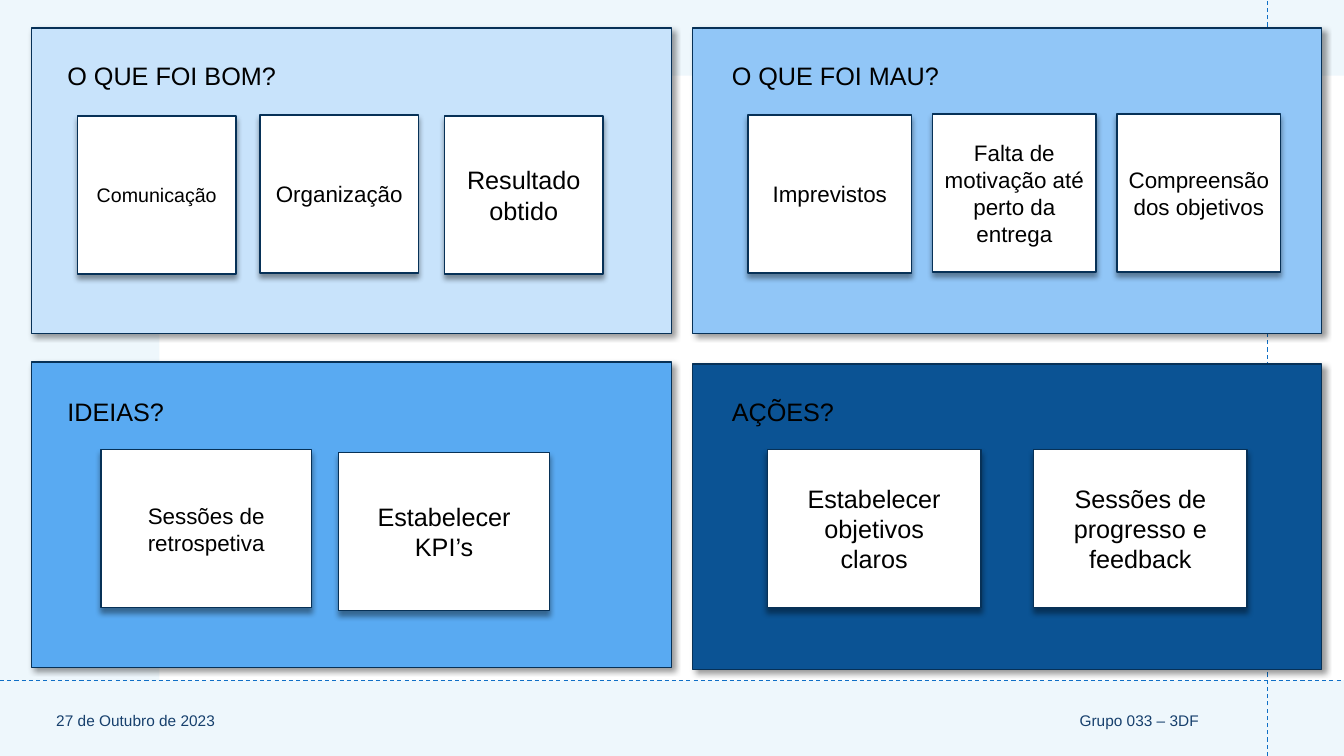
from lxml import etree
from pptx import Presentation
from pptx.dml.color import RGBColor
from pptx.enum.dml import MSO_LINE
from pptx.enum.shapes import MSO_CONNECTOR, MSO_SHAPE
from pptx.enum.text import MSO_ANCHOR, PP_ALIGN
from pptx.oxml.ns import qn
from pptx.util import Inches, Pt

RECT = MSO_SHAPE.RECTANGLE
STRAIGHT = MSO_CONNECTOR.STRAIGHT
DASH = MSO_LINE.DASH
TOP, MIDDLE = MSO_ANCHOR.TOP, MSO_ANCHOR.MIDDLE
LEFT, CENTER, RIGHT = PP_ALIGN.LEFT, PP_ALIGN.CENTER, PP_ALIGN.RIGHT

FONT = "Arial"
BLACK, WHITE, NAVY = "000000", "FFFFFF", "17406D"
OUTLINE, RULE, PALE = "073157", "0F6FC6", "DBEFF9"
CARD_HEIGHT = 1.57
PANEL_HEIGHT = 3.03

# Each panel: heading, heading position, (left, top, width), colour, card width,
# and its cards as (left, top, size, text).
PANELS = [
    ("O QUE FOI BOM?", (0.57, 0.55), (0.31, 0.28, 6.35), "C8E3FB", 1.57, [
        (0.77, 1.15, 14, "Comunicação"),
        (2.58, 1.14, 16, "Organização"),
        (4.41, 1.15, 18, "Resultado\nobtido"),
    ]),
    ("O QUE FOI MAU?", (7.16, 0.55), (6.87, 0.28, 6.24), "91C6F7", 1.62, [
        (7.42, 1.14, 16, "Imprevistos"),
        (9.25, 1.13, 16, "Falta de motivação até perto da entrega"),
        (11.08, 1.13, 16, "Compreensão dos objetivos"),
    ]),
    ("IDEIAS?", (0.57, 3.88), (0.31, 3.59, 6.35), "59AAF2", 2.09, [
        (1, 4.46, 16, "Sessões de retrospetiva"),
        (3.36, 4.49, 18, "Estabelecer KPI’s"),
    ]),
    ("AÇÕES?", (7.16, 3.88), (6.87, 3.61, 6.24), "0B5394", 2.12, [
        (7.61, 4.46, 18, "Estabelecer\nobjetivos\nclaros"),
        (10.25, 4.46, 18, "Sessões de progresso e feedback"),
    ]),
]


def rgb(color):
    """Turn a hex string into a colour."""
    return RGBColor.from_string(color)


def write(shape, text, size, color, align, anchor):
    """Set and format the text of a shape."""
    tf = shape.text_frame
    tf.word_wrap = True
    tf.vertical_anchor = anchor
    tf.text = text
    for p in tf.paragraphs:
        p.alignment = align
        for r in p.runs:
            r.font.name = FONT
            r.font.size = Pt(size)
            r.font.color.rgb = rgb(color)


def add_rect(s, left, top, width, height, color):
    """Add a plain filled rectangle."""
    shape = s.shapes.add_shape(
        RECT, Inches(left), Inches(top), Inches(width), Inches(height))
    shape.shadow.inherit = False
    shape.fill.solid()
    shape.fill.fore_color.rgb = rgb(color)
    shape.line.fill.background()
    return shape


def set_alpha(shape, percent):
    """Make a solid fill partly transparent."""
    clr = shape.fill._xPr.find(qn("a:solidFill"))[0]
    etree.SubElement(clr, qn("a:alpha")).set("val", str(percent * 1000))


def add_raised_rect(s, left, top, width, height, color, angle):
    """Add an outlined rectangle with a soft shadow cast at an angle."""
    shape = add_rect(s, left, top, width, height, color)
    shape.line.color.rgb = rgb(OUTLINE)
    shape.line.width = Pt(1)
    effects = shape._element.spPr.find(qn("a:effectLst"))
    shadow = etree.SubElement(
        effects, qn("a:outerShdw"), blurRad=str(Pt(4)), dist=str(Pt(3)),
        dir=str(angle * 60000), algn="tl", rotWithShape="0")
    clr = etree.SubElement(shadow, qn("a:srgbClr"), val=BLACK)
    etree.SubElement(clr, qn("a:alpha"), val="40000")
    return shape


def add_dashed_line(s, x1, y1, x2, y2):
    """Add a thin dashed line without a shadow."""
    line = s.shapes.add_connector(
        STRAIGHT, Inches(x1), Inches(y1), Inches(x2), Inches(y2))
    line.line.color.rgb = rgb(RULE)
    line.line.width = Pt(0.75)
    line.line.dash_style = DASH
    etree.SubElement(line._element.spPr, qn("a:effectLst"))


def add_text(s, left, top, width, height, text, size, color, align, anchor):
    """Add a text box."""
    box = s.shapes.add_textbox(
        Inches(left), Inches(top), Inches(width), Inches(height))
    write(box, text, size, color, align, anchor)


def add_background(s):
    """Add the tinted frame, the dashed lines and the footer."""
    set_alpha(add_rect(s, 0, 0, 13.33, 7.5, PALE), 45)
    add_rect(s, 1.58, 0.75, 11.75, 6, WHITE)
    add_dashed_line(s, 12.57, 7.5, 12.57, 0)
    add_dashed_line(s, 0, 6.75, 13.33, 6.75)
    add_text(s, 0.46, 6.8, 3, 0.7, "27 de Outubro de 2023", 11, NAVY, LEFT, MIDDLE)
    add_text(s, 4.12, 6.8, 7.87, 0.7, "Grupo 033 – 3DF", 11, NAVY, RIGHT, MIDDLE)


def add_panel(s, heading, heading_at, frame, color, card_width, cards):
    """Add a coloured panel with its heading and cards."""
    add_raised_rect(s, *frame, PANEL_HEIGHT, color, 45)
    add_text(s, *heading_at, 3.55, 0.4, heading, 18, BLACK, LEFT, TOP)
    for left, top, size, text in cards:
        card = add_raised_rect(s, left, top, card_width, CARD_HEIGHT, WHITE, 90)
        write(card, text, size, BLACK, CENTER, MIDDLE)


def main():
    """Build the retrospective slide."""
    prs = Presentation()
    prs.slide_width, prs.slide_height = Inches(13.33), Inches(7.5)
    s = prs.slides.add_slide(prs.slide_layouts[6])
    add_background(s)
    for panel in PANELS:
        add_panel(s, *panel)
    prs.save("out.pptx")


if __name__ == "__main__":
    main()
